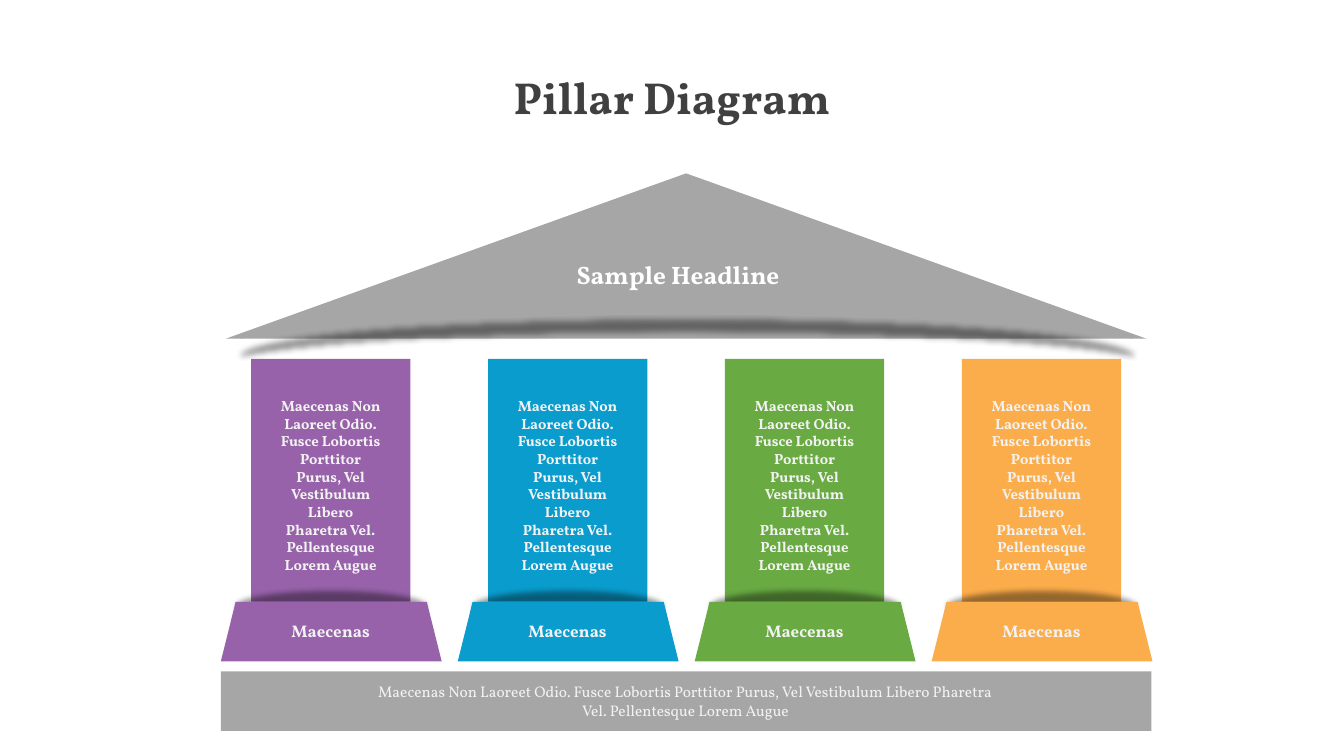
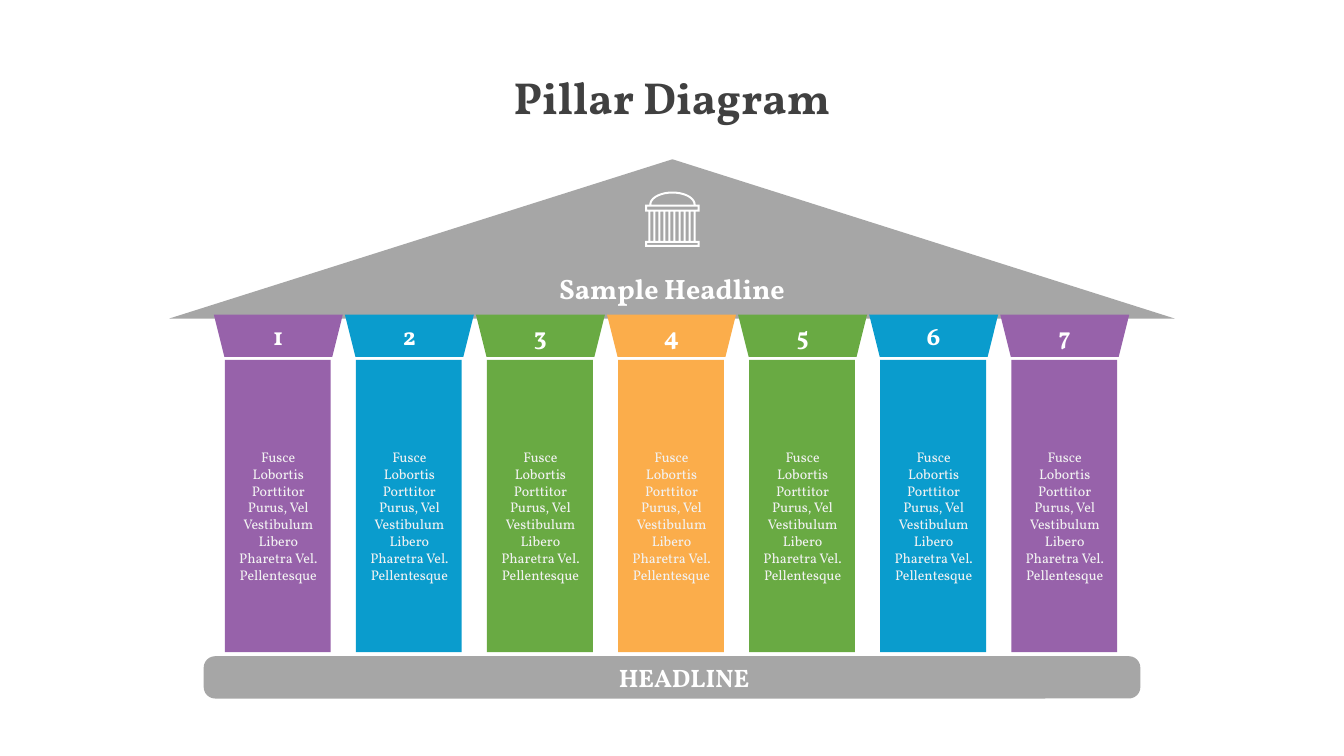
import math
import pptx
import pptx.util
import pptx.dml.color
import pptx.enum.shapes
import pptx.enum.text
import pptx.oxml.ns
from lxml import etree

Inches = pptx.util.Inches
Pt = pptx.util.Pt
RGBColor = pptx.dml.color.RGBColor
MSO_SHAPE = pptx.enum.shapes.MSO_SHAPE
MSO_ANCHOR = pptx.enum.text.MSO_ANCHOR
PP_ALIGN = pptx.enum.text.PP_ALIGN
qn = pptx.oxml.ns.qn

FONT = "Vollkorn"
DARK = RGBColor(0x40, 0x40, 0x40)
GRAY = RGBColor(0xA6, 0xA6, 0xA6)
WHITE = RGBColor(0xFF, 0xFF, 0xFF)
LIGHT = RGBColor(0xF2, 0xF2, 0xF2)
PURPLE = RGBColor(0x97, 0x62, 0xAA)
PLUM = RGBColor(0x73, 0x47, 0x82)
BLUE = RGBColor(0x0A, 0x9C, 0xCD)
GREEN = RGBColor(0x69, 0xAA, 0x43)
ORANGE = RGBColor(0xFB, 0xAD, 0x4B)

FUSCE = "Fusce Lobortis Porttitor Purus, Vel Vestibulum Libero Pharetra Vel. Pellentesque"
MAECENAS = f"Maecenas Non Laoreet Odio. {FUSCE} Lorem Augue"


def paint(sp, color):
    sp.shadow.inherit = False
    sp.fill.solid()
    sp.fill.fore_color.rgb = color
    sp.line.fill.background()
    return sp


def write(sp, text, size, color, bold=True, anchor=MSO_ANCHOR.TOP):
    tf = sp.text_frame
    tf.word_wrap = True
    tf.auto_size = pptx.enum.text.MSO_AUTO_SIZE.NONE
    tf.vertical_anchor = anchor
    p = tf.paragraphs[0]
    p.alignment = PP_ALIGN.CENTER
    r = p.add_run()
    r.text = text
    r.font.name = FONT
    r.font.size = Pt(size)
    r.font.bold = bold
    r.font.color.rgb = color


prs = pptx.Presentation()
prs.slide_width = Inches(13.33)
prs.slide_height = Inches(7.5)

for _ in range(2):
    s = prs.slides.add_slide(prs.slide_layouts[5])
    title = s.shapes.title
    title.left, title.top = Inches(0), Inches(0.64)
    title.width, title.height = Inches(13.33), Inches(0.64)
    write(title, "Pillar Diagram", 32, DARK)

shapes = prs.slides[0].shapes
paint(shapes.add_shape(MSO_SHAPE.FLOWCHART_EXTRACT, Inches(2.24), Inches(1.72), Inches(9.13), Inches(1.64)), GRAY)
moon = paint(shapes.add_shape(MSO_SHAPE.MOON, Inches(6.63), Inches(-1.24), Inches(0.36), Inches(8.84)), GRAY)
moon.adjustments[0] = 0.34
moon.rotation = 90
shaded = [(moon, 12, 90)]
write(shapes.add_textbox(Inches(5.31), Inches(2.52), Inches(2.83), Inches(0.4)),
      "Sample Headline", 18, WHITE, anchor=MSO_ANCHOR.MIDDLE)

for i, color in enumerate([PURPLE, BLUE, GREEN, ORANGE]):
    center = 3.28 + 2.35 * i
    paint(shapes.add_shape(MSO_SHAPE.RECTANGLE, Inches(center - 0.79), Inches(3.56), Inches(1.58), Inches(2.41)), color)
    write(shapes.add_textbox(Inches(center - 0.63), Inches(3.89), Inches(1.26), Inches(1.87)), MAECENAS, 10.5, LIGHT)
    ellipse = paint(shapes.add_shape(MSO_SHAPE.OVAL, Inches(center - 0.94), Inches(5.98), Inches(1.88), Inches(0.29)), PLUM)
    shaded.append((ellipse, 8, 270))
    paint(shapes.add_shape(MSO_SHAPE.TRAPEZOID, Inches(center - 1.09), Inches(5.97), Inches(2.19), Inches(0.59)), color)
    write(shapes.add_textbox(Inches(center - 0.92), Inches(6.11), Inches(1.84), Inches(0.3)),
          "Maecenas", 12, LIGHT, anchor=MSO_ANCHOR.MIDDLE)

for sp, dist, angle in shaded:
    effects = sp._element.spPr.find(qn("a:effectLst"))
    shadow = etree.SubElement(effects, qn("a:outerShdw"), blurRad=str(Pt(4)), dist=str(Pt(dist)),
                              dir=str(angle * 60000), algn="ctr", rotWithShape="0")
    tint = etree.SubElement(shadow, qn("a:srgbClr"), val="000000")
    etree.SubElement(tint, qn("a:alpha"), val="40000")

paint(shapes.add_shape(MSO_SHAPE.RECTANGLE, Inches(2.19), Inches(6.66), Inches(9.23), Inches(0.59)), GRAY)
write(shapes.add_textbox(Inches(3.6), Inches(6.72), Inches(6.4), Inches(0.47)), MAECENAS, 11, LIGHT, bold=False)

shapes = prs.slides[1].shapes
roof = shapes.build_freeform(Inches(6.67), Inches(1.58))
roof.add_line_segments([(Inches(1.68), Inches(3.16)), (Inches(11.65), Inches(3.16))])
paint(roof.convert_to_shape(), GRAY)
base = paint(shapes.add_shape(MSO_SHAPE.ROUNDED_RECTANGLE, Inches(2.02), Inches(6.51), Inches(9.29), Inches(0.42)), GRAY)
base.adjustments[0] = 0.27

for i, color in enumerate([PURPLE, BLUE, GREEN, ORANGE, GREEN, BLUE, PURPLE]):
    center = 2.76 + 1.3 * i
    paint(shapes.add_shape(MSO_SHAPE.RECTANGLE, Inches(center - 0.53), Inches(3.57), Inches(1.05), Inches(2.9)), color)
    cap = paint(shapes.add_shape(MSO_SHAPE.TRAPEZOID, Inches(center - 0.64), Inches(3.12), Inches(1.28), Inches(0.42)), color)
    cap.rotation = 180
    write(shapes.add_textbox(Inches(center - 0.22), Inches(3.13), Inches(0.44), Inches(0.4)), str(i + 1), 18, WHITE)
    write(shapes.add_textbox(Inches(center - 0.52), Inches(4.4), Inches(1.04), Inches(1.45)), FUSCE, 10, LIGHT, bold=False)

angles = [math.radians(a) for a in range(0, 181, 10)]
outer_dome, inner_dome = [
    [(6.67 + rx * math.cos(a), 2.03 - ry * math.sin(a)) for a in angles]
    for rx, ry in [(0.23, 0.13), (0.21, 0.11)]
]
outline = outer_dome + [
    (6.4, 2.03), (6.4, 2.1), (6.43, 2.1), (6.43, 2.39), (6.4, 2.39), (6.4, 2.45),
    (6.94, 2.45), (6.94, 2.39), (6.9, 2.39), (6.9, 2.1), (6.94, 2.1), (6.94, 2.03),
]
openings = [(6.42, 2.05, 6.92, 2.08), (6.42, 2.41, 6.92, 2.43)]
openings += [(6.45 + 0.05 * i, 2.1, 6.48 + 0.05 * i, 2.39) for i in range(9)]
contours = [outline, inner_dome] + [[(l, t), (l, b), (r, b), (r, t)] for l, t, r, b in openings]
temple = None
for contour in contours:
    points = [(Inches(x), Inches(y)) for x, y in contour]
    if temple is None:
        temple = shapes.build_freeform(*points[0])
    else:
        temple.move_to(*points[0])
    temple.add_line_segments(points[1:])
paint(temple.convert_to_shape(), WHITE)

write(shapes.add_textbox(Inches(4.93), Inches(2.64), Inches(3.47), Inches(0.44)), "Sample Headline", 20, WHITE)
write(shapes.add_textbox(Inches(6.02), Inches(6.52), Inches(1.53), Inches(0.4)), "HEADLINE", 18, WHITE)

prs.save("out.pptx")
